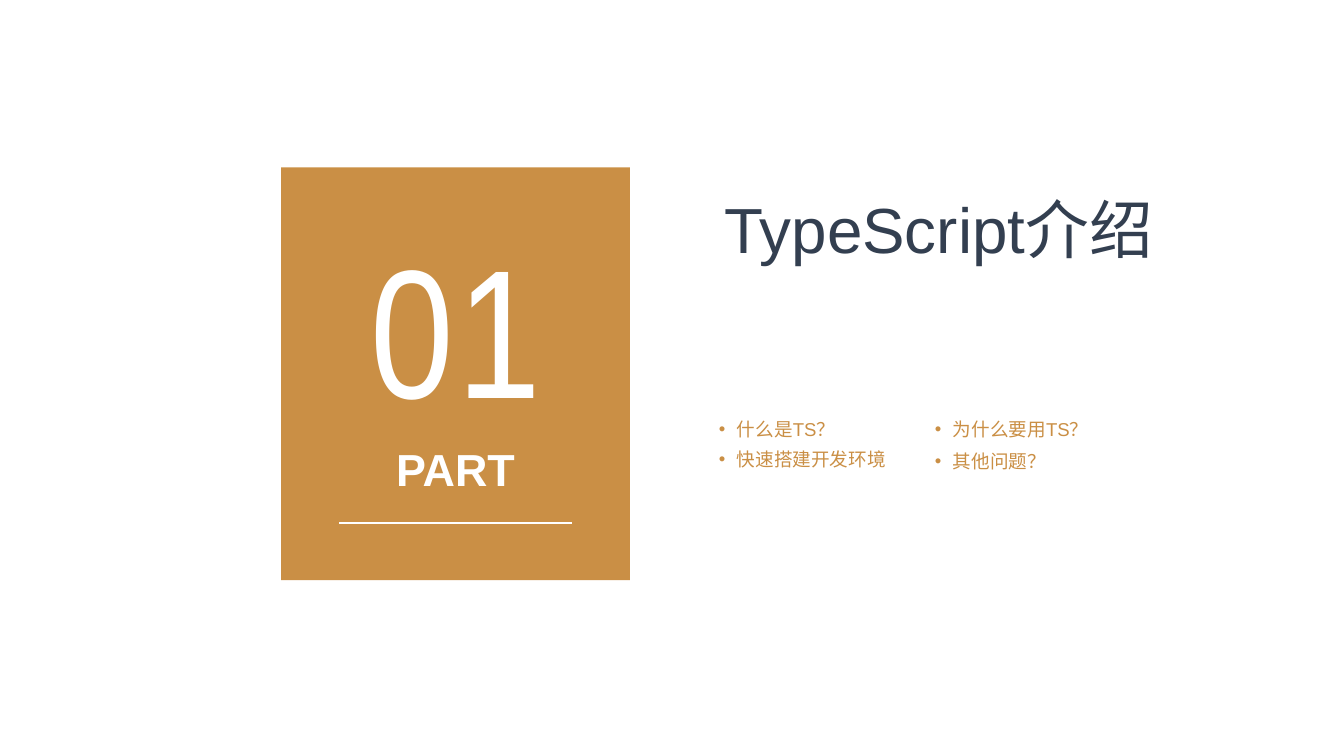
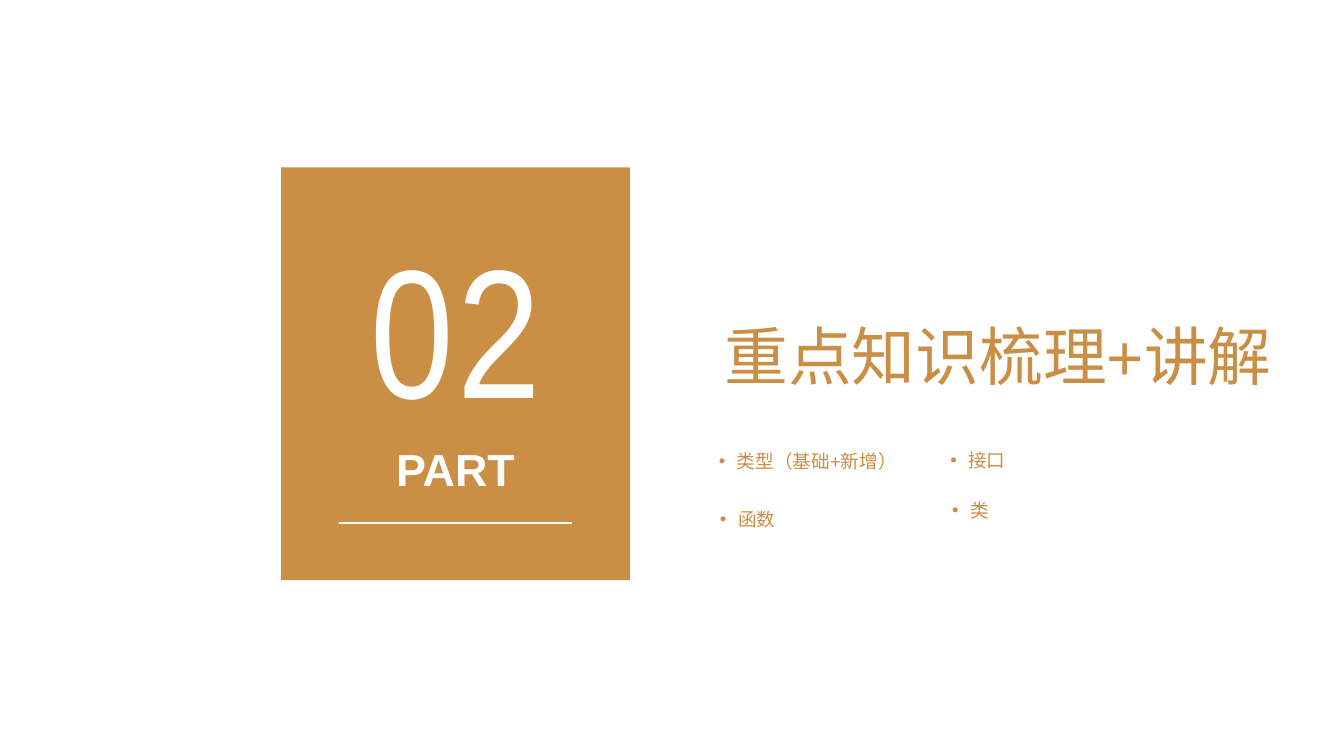
from lxml import etree
from pptx import Presentation
from pptx.dml.color import RGBColor
from pptx.enum.shapes import MSO_CONNECTOR, MSO_SHAPE
from pptx.enum.text import MSO_AUTO_SIZE, PP_ALIGN
from pptx.oxml.ns import qn
from pptx.util import Cm, Pt

RECT = MSO_SHAPE.RECTANGLE
STRAIGHT = MSO_CONNECTOR.STRAIGHT
CENTER = PP_ALIGN.CENTER
GROW = MSO_AUTO_SIZE.SHAPE_TO_FIT_TEXT

COLORS = {"gold": "CA8F45", "navy": "333F50", "white": "FFFFFF"}

# Text styles shared by all section slides
FORMATS = {
    "title": {"size": Pt(48), "name": "Arial"},
    "number": {"size": Pt(138), "name": "Arial Narrow"},
    "part": {"size": Pt(33.8), "name": "Arial", "bold": True},
    "topic": {"size": Pt(14), "name": "Arial"},
}

# Panel geometry in centimetres
PANEL_X, PANEL_Y, PANEL_W, PANEL_H = 7.47, 4.45, 9.27, 10.97
TITLE_X = 19.25
TOPIC_W, TOPIC_H, TOPIC_INDENT = 5.11, 0.61, 0.48

# Topics are (left, top, text)
SECTIONS = [
    {
        "number": "01", "title": "TypeScript介绍",
        "title_y": 5.05, "title_w": 14.2, "title_color": "navy",
        "topics": [
            (19.1, 11.1, "什么是TS？"),
            (24.84, 11.1, "为什么要用TS？"),
            (24.84, 11.96, "其他问题？"),
            (19.1, 11.91, "快速搭建开发环境"),
        ],
    },
    {
        "number": "02", "title": "重点知识梳理+讲解",
        "title_y": 8.43, "title_w": 16.46, "title_color": "gold",
        "topics": [
            (19.1, 11.96, "类型（基础+新增）"),
            (19.13, 13.49, "函数"),
            (25.25, 11.94, "接口"),
            (25.3, 13.26, "类"),
        ],
    },
]


def rgb(color):
    return RGBColor.from_string(COLORS[color])


def add_text(s, box, text, style, color, align=None, inset=0):
    """Add a one-line text box and return its paragraph."""
    sp = s.shapes.add_textbox(*map(Cm, box))
    tf = sp.text_frame
    tf.word_wrap = True
    tf.auto_size = GROW
    tf.margin_left = tf.margin_right = Cm(inset)
    tf.margin_top = tf.margin_bottom = Cm(inset / 2)
    p = tf.paragraphs[0]
    p.alignment = align
    r = p.add_run()
    r.text = text
    for key, value in FORMATS[style].items():
        setattr(r.font, key, value)
    r.font.color.rgb = rgb(color)
    return p


def add_panel(s):
    sp = s.shapes.add_shape(RECT, *map(Cm, (PANEL_X, PANEL_Y, PANEL_W, PANEL_H)))
    sp.shadow.inherit = False
    sp.fill.solid()
    sp.fill.fore_color.rgb = rgb("gold")
    sp.line.fill.background()


def add_rule(s, width, y):
    """Add a white line centred on the panel."""
    x = PANEL_X + (PANEL_W - width) / 2
    line = s.shapes.add_connector(STRAIGHT, Cm(x), Cm(y), Cm(x + width), Cm(y))
    line.line.color.rgb = rgb("white")
    line.line.width = Pt(1.5)
    etree.SubElement(line._element.spPr, qn("a:effectLst"))


def add_panel_text(s, y, w, h, text, style, inset=0):
    """Add white text centred on the panel."""
    x = PANEL_X + (PANEL_W - w) / 2
    return add_text(s, (x, y, w, h), text, style, "white", CENTER, inset)


def add_number(s, text):
    p = add_panel_text(s, 5.59, 7.14, 6.15, text, "number", 0.25)
    before = etree.SubElement(p._p.get_or_add_pPr(), qn("a:spcBef"))
    etree.SubElement(before, qn("a:spcPct")).set("val", "20000")
    p.runs[0].font._element.set("spc", "300")


def add_topic(s, x, y, text):
    p = add_text(s, (x, y, TOPIC_W, TOPIC_H), text, "topic", "gold")
    p.level = 1
    pPr = p._p.get_or_add_pPr()
    pPr.set("marL", str(Cm(TOPIC_INDENT)))
    pPr.set("indent", str(-Cm(TOPIC_INDENT)))
    etree.SubElement(pPr, qn("a:buFont")).set("typeface", "Arial")
    etree.SubElement(pPr, qn("a:buChar")).set("char", "•")


def add_section(prs, section):
    s = prs.slides.add_slide(prs.slide_layouts[6])
    # Numbered panel
    add_panel(s)
    add_rule(s, 6.17, 13.89)
    add_panel_text(s, 11.73, 6.81, 1.45, "PART", "part")
    add_number(s, section["number"])
    # Title and topics
    box = (TITLE_X, section["title_y"], section["title_w"], 2.06)
    add_text(s, box, section["title"], "title", section["title_color"])
    for topic in section["topics"]:
        add_topic(s, *topic)


def main():
    prs = Presentation()
    prs.slide_width, prs.slide_height = Cm(35.71), Cm(20.09)
    for section in SECTIONS:
        add_section(prs, section)
    prs.save("out.pptx")


if __name__ == "__main__":
    main()
